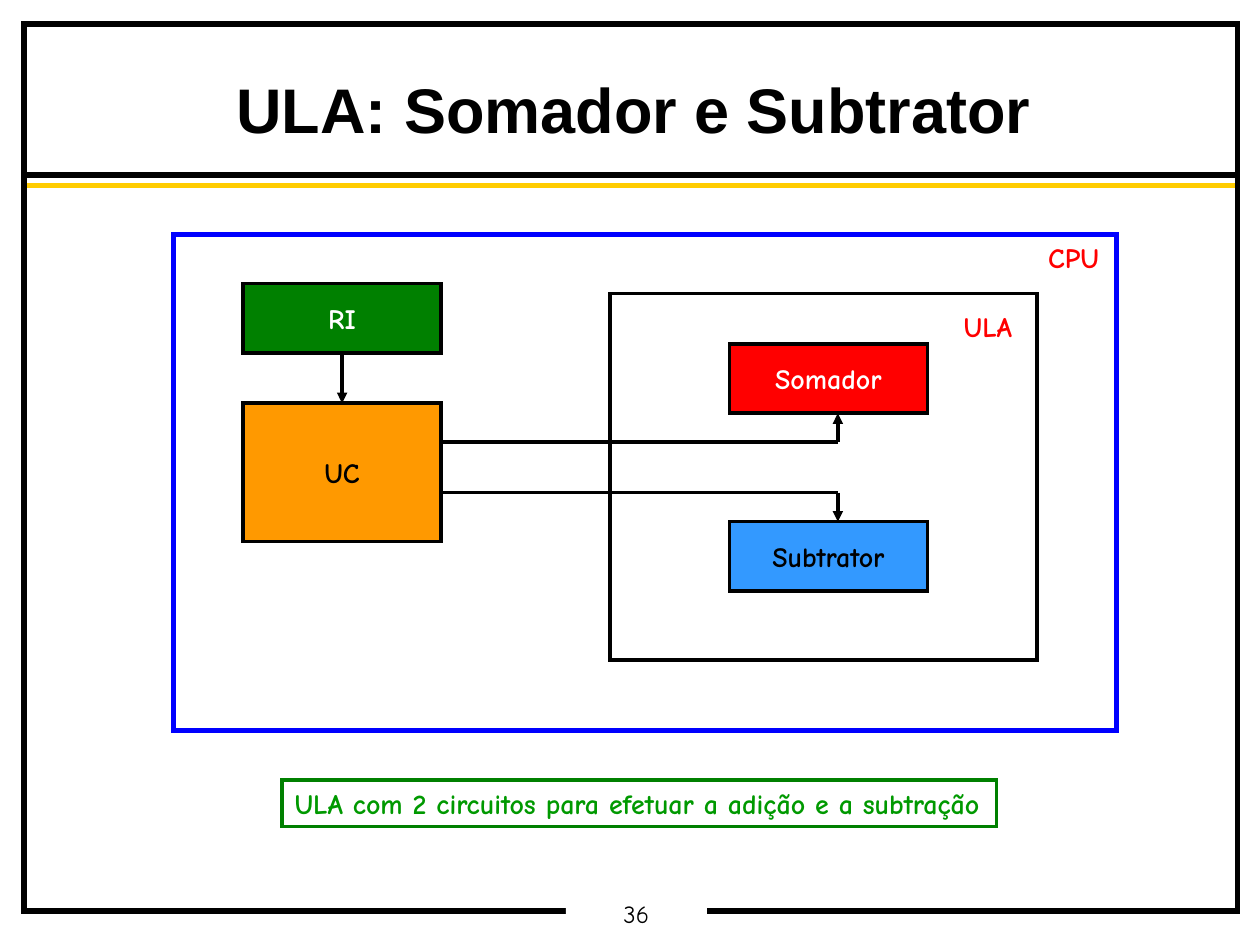
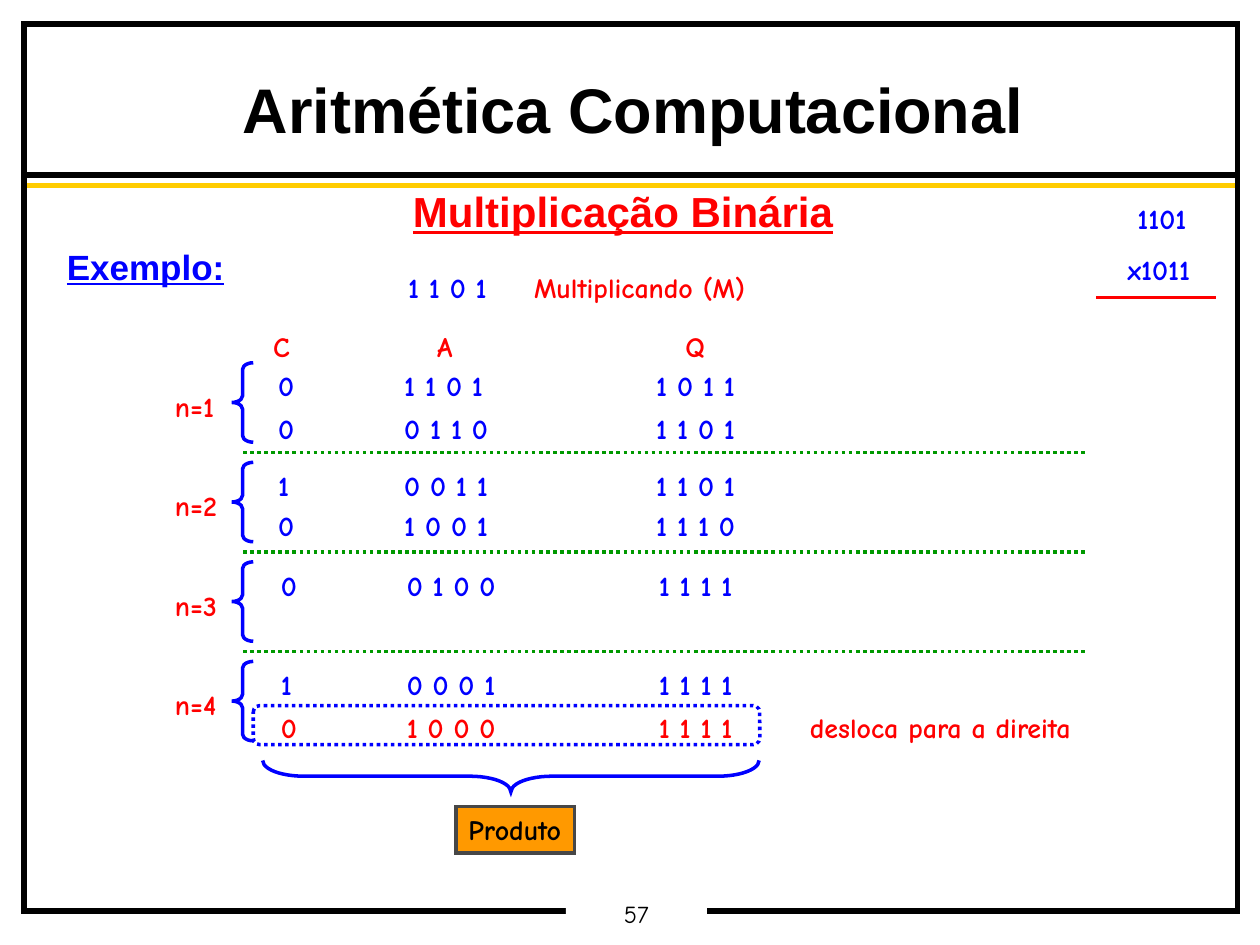
"""Build two computer architecture slides: the adder/subtractor ALU and binary multiplication."""
import pptx
import pptx.dml.color
import pptx.enum.dml
import pptx.enum.shapes
import pptx.enum.text
import pptx.oxml.ns
import pptx.util
from lxml import etree

Inches = pptx.util.Inches
Pt = pptx.util.Pt
RGBColor = pptx.dml.color.RGBColor
Shape = pptx.enum.shapes.MSO_SHAPE
Align = pptx.enum.text.PP_ALIGN
Anchor = pptx.enum.text.MSO_ANCHOR
FIXED_SIZE = pptx.enum.text.MSO_AUTO_SIZE.NONE
DOTTED = pptx.enum.dml.MSO_LINE.ROUND_DOT

BLACK = RGBColor(0, 0, 0)
WHITE = RGBColor(255, 255, 255)
YELLOW = RGBColor(0xFF, 0xCC, 0x00)
RED = RGBColor(0xFF, 0, 0)
BLUE = RGBColor(0, 0, 0xFF)
SKY = RGBColor(0x33, 0x99, 0xFF)
ORANGE = RGBColor(0xFF, 0x99, 0x00)
DARK_GREEN = RGBColor(0, 0x80, 0)
GREEN = RGBColor(0, 0x99, 0)
GRAY = RGBColor(0x47, 0x47, 0x47)

TITLE_FONT = "Arial"
LABEL_FONT = "Comic Neue"
LABEL_HEIGHT = 0.37


def set_position(shape, box):
    """Move a shape to a box of left, top, width and height in inches."""
    shape.left, shape.top, shape.width, shape.height = map(Inches, box)


def set_font(paragraph, size, color, name=LABEL_FONT, bold=True, underline=None):
    """Format the font of a whole paragraph."""
    font = paragraph.font
    font.size, font.name, font.bold, font.underline = Pt(size), name, bold, underline
    font.color.rgb = color


def set_margins(frame, left, right, end):
    """Set the left, the right, and the top and bottom margins of a text frame."""
    frame.margin_left, frame.margin_right = Inches(left), Inches(right)
    frame.margin_top = frame.margin_bottom = Inches(end)


def add_properties_child(paragraph, tag):
    """Append an element to the properties of a paragraph."""
    properties = paragraph._p.get_or_add_pPr()
    return etree.SubElement(properties, pptx.oxml.ns.qn(tag))


def add_tabs(paragraph, stops):
    """Add left tab stops at the given inches."""
    tab_list = add_properties_child(paragraph, "a:tabLst")
    for stop in stops:
        tab = etree.SubElement(tab_list, pptx.oxml.ns.qn("a:tab"))
        tab.set("pos", str(Inches(stop)))
        tab.set("algn", "l")


def add_line(slide, start, end, color=BLACK, width=2, dash=None, arrow=False):
    """Draw a straight connector between two points in inches."""
    line = slide.shapes.add_connector(
        pptx.enum.shapes.MSO_CONNECTOR.STRAIGHT, *map(Inches, (*start, *end)))
    line.line.color.rgb = color
    line.line.width = Pt(width)
    if dash:
        line.line.dash_style = dash
    if arrow:
        outline = line.line._get_or_add_ln()
        etree.SubElement(outline, pptx.oxml.ns.qn("a:tailEnd")).set("type", "triangle")
    etree.SubElement(line._element.spPr, pptx.oxml.ns.qn("a:effectLst"))
    return line


def add_figure(slide, kind, box, line=None, fill=None, width=2):
    """Add a preset shape with the given sharp-cornered outline and fill, or none."""
    shape = slide.shapes.add_shape(kind, *map(Inches, box))
    shape.shadow.inherit = False
    if fill is None:
        shape.fill.background()
    else:
        shape.fill.solid()
        shape.fill.fore_color.rgb = fill
    if line is None:
        shape.line.fill.background()
    else:
        shape.line.color.rgb = line
        shape.line.width = Pt(width)
        outline = shape.line._get_or_add_ln()
        etree.SubElement(outline, pptx.oxml.ns.qn("a:miter")).set("lim", "800000")
    return shape


def write_label(shape, lines, color, tabs=()):
    """Write left-aligned label lines from the top of a shape, with room to spare at the right."""
    frame = shape.text_frame
    frame.word_wrap = True
    frame.auto_size = FIXED_SIZE
    frame.vertical_anchor = Anchor.TOP
    set_margins(frame, 0.1, 0, 0.05)
    frame.text = "\n".join(lines)
    for index, paragraph in enumerate(frame.paragraphs):
        if tabs:
            add_tabs(paragraph, tabs)
        paragraph.alignment = Align.LEFT
        if index:
            paragraph.space_before = Pt(10)
        set_font(paragraph, 16, color)


def add_label(slide, left, top, width, text, color, tabs=()):
    """Add a one-line label."""
    box = slide.shapes.add_textbox(*map(Inches, (left, top, width, LABEL_HEIGHT)))
    write_label(box, [text], color, tabs)


def add_unit(slide, box, text, fill, color):
    """Add a filled block with a centred name."""
    unit = add_figure(slide, Shape.RECTANGLE, box, BLACK, fill)
    unit.text_frame.vertical_anchor = Anchor.MIDDLE
    paragraph = unit.text_frame.paragraphs[0]
    paragraph.text = text
    paragraph.alignment = Align.CENTER
    set_font(paragraph, 16, color)
    return unit


def add_brace(slide, box, curve, rotation=0):
    """Add a blue brace whose corners have the given curve."""
    brace = add_figure(slide, Shape.LEFT_BRACE, box, BLUE)
    brace.adjustments[0] = curve
    brace.rotation = rotation


def start_slide(presentation, layout, title, title_box, number):
    """Add a slide with the shared rules, frame, page number and title."""
    slide = presentation.slides.add_slide(presentation.slide_layouts[layout])
    for top, color in ((1.39, BLACK), (1.47, YELLOW)):
        add_line(slide, (0.2, top), (9.84, top), color, 3)
    add_figure(slide, Shape.RECTANGLE, (0.19, 0.19, 9.63, 7.04), BLACK, width=3)

    page = add_figure(slide, Shape.RECTANGLE, (4.49, 7.13, 1.12, 0.27), fill=WHITE)
    page.text_frame.vertical_anchor = Anchor.TOP
    set_margins(page.text_frame, 0.07, 0.07, 0.03)
    paragraph = page.text_frame.paragraphs[0]
    paragraph.text = str(number)
    paragraph.alignment = Align.CENTER
    paragraph.line_spacing = 0.9
    set_font(paragraph, 14, BLACK, bold=False)

    heading = slide.shapes.title
    set_position(heading, title_box)
    frame = heading.text_frame
    frame.text = title
    frame.auto_size = FIXED_SIZE
    frame.vertical_anchor = Anchor.TOP
    set_margins(frame, 0.07, 0.07, 0.03)
    paragraph = frame.paragraphs[0]
    paragraph.alignment = Align.CENTER
    paragraph.line_spacing = 0.95
    set_font(paragraph, 36, BLACK, TITLE_FONT)
    return slide


def draw_cpu(slide, left, top, width, height):
    """Draw the CPU with its register, control unit and arithmetic unit."""
    unit_width, unit_height = 1.57, 0.55
    control_left, circuit_left = left + 0.55, left + 4.41
    control_top, adder_top, subtractor_top = top + 1.34, top + 0.87, top + 2.28

    register = add_unit(slide, (control_left, top + 0.39, unit_width, unit_height),
                        "RI", DARK_GREEN, WHITE)
    control = add_unit(slide, (control_left, control_top, unit_width, 2 * unit_height),
                       "UC", ORANGE, BLACK)
    add_unit(slide, (circuit_left, adder_top, unit_width, unit_height), "Somador", RED, WHITE)
    add_unit(slide, (circuit_left, subtractor_top, unit_width, unit_height),
             "Subtrator", SKY, BLACK)

    add_figure(slide, Shape.RECTANGLE, (left + 3.46, top + 0.47, 3.39, 2.91), BLACK)
    add_label(slide, left + 6.17, top + 0.55, 0.58, "ULA", RED)
    add_figure(slide, Shape.RECTANGLE, (left, top, width, height), BLUE, width=3)
    add_label(slide, left + 6.84, top, 0.6, "CPU", RED)

    fetch = add_line(slide, (left + 1.33, top + 0.94), (left + 1.33, control_top), arrow=True)
    fetch.begin_connect(register, 2)
    fetch.end_connect(control, 0)
    turn = left + 5.27
    for level, target in ((top + 1.65, adder_top + unit_height), (top + 2.05, subtractor_top)):
        add_line(slide, (control_left + unit_width, level), (turn, level))
        add_line(slide, (turn, level), (turn, target), arrow=True)


def write_body(slide, box):
    """Write the subject and the example heading in the body placeholder."""
    body = slide.placeholders[1]
    set_position(body, box)
    frame = body.text_frame
    frame.text = "Multiplicação Binária\nExemplo:"
    frame.auto_size = FIXED_SIZE
    frame.vertical_anchor = Anchor.TOP
    formats = ((Align.CENTER, 0, 24, RED), (Align.LEFT, 7.5, 20, BLUE))
    for paragraph, (alignment, before, size, color) in zip(frame.paragraphs, formats):
        properties = paragraph._p.get_or_add_pPr()
        properties.set("marL", str(Inches(0.24)))
        properties.set("indent", str(Inches(-0.24)))
        add_properties_child(paragraph, "a:buNone")
        paragraph.alignment = alignment
        paragraph.line_spacing = 0.9
        paragraph.space_before = Pt(before)
        set_font(paragraph, size, color, TITLE_FONT, underline=True)


def draw_operation(slide, left, top):
    """Draw the two factors above a rule."""
    factors = slide.shapes.add_textbox(*map(Inches, (left + 0.15, top, 0.69, 0.77)))
    write_label(factors, [" 1101", "x1011"], BLUE)
    add_line(slide, (left, top + 0.81), (left + 0.95, top + 0.81), RED)


def draw_steps(slide, left, top):
    """Draw the register values of each step, with braces and dividers."""
    pitch, brace_height = 0.79, 0.63
    steps = (
        (0.27, 0.34, (("0", "1 1 0 1", "1 0 1 1"), ("0", "0 1 1 0", "1 1 0 1"))),
        (0.27, 0.32, (("1", "0 0 1 1", "1 1 0 1"), ("0", "1 0 0 1", "1 1 1 0"))),
        (0.29, 0.34, (("0", "0 1 0 0", "1 1 1 1"),)),
        (0.29, 0.34, (("1", "0 0 0 1", "1 1 1 1"), ("0", "1 0 0 0", "1 1 1 1"))),
    )
    for offset, width, register in ((0.23, 0.33, "C"), (1.53, 0.32, "A"), (3.5, 0.35, "Q")):
        add_label(slide, left + offset, top - 0.31, width, register, RED)
    for index, (indent, row_gap, rows) in enumerate(steps):
        step_top = top + index * pitch
        last_step = index == len(steps) - 1
        add_label(slide, left - 0.55, step_top + 0.16, 0.53, f"n={index + 1}", RED)
        add_brace(slide, (left, step_top, 0.17, brace_height), 0.31)
        for row, (carry, accumulator, multiplier) in enumerate(rows):
            color = RED if last_step and row else BLUE
            add_label(slide, left + indent, step_top + row * row_gap, 3.82,
                      f"{carry}\t{accumulator}\t\t{multiplier}", color, (1, 2, 3))
        if not last_step:
            divider = step_top + 0.71
            add_line(slide, (left + 0.09, divider), (left + 6.78, divider), GREEN, dash=DOTTED)


def draw_product(slide, left, top, width):
    """Mark the final row and name it as the product."""
    outline = add_figure(slide, Shape.ROUNDED_RECTANGLE, (left, top, width, 0.31), BLUE)
    outline.line.dash_style = DOTTED
    add_label(slide, left + 4.32, top - 0.01, 2.29, "desloca para a direita", RED)
    add_brace(slide, (left + 1.92, top - 1.41, 0.25, 3.94), 1.3, 270)
    name = add_figure(slide, Shape.RECTANGLE, (left + 1.61, top + 0.8, 0.94, LABEL_HEIGHT),
                      GRAY, ORANGE)
    write_label(name, ["Produto"], BLACK)


def build_adder_slide(presentation):
    """Build the slide on the adder and subtractor."""
    slide = start_slide(presentation, 5, "ULA: Somador e Subtrator", (1.65, 0.57, 6.76, 0.63), 36)
    draw_cpu(slide, 1.38, 1.86, 7.48, 3.94)
    caption = add_figure(slide, Shape.RECTANGLE, (2.24, 6.19, 5.67, LABEL_HEIGHT), DARK_GREEN)
    write_label(caption, ["ULA com 2 circuitos para efetuar a adição e a subtração"], GREEN)


def build_multiplication_slide(presentation):
    """Build the slide on binary multiplication."""
    slide = start_slide(presentation, 1, "Aritmética Computacional", (0.2, 0.57, 9.65, 0.63), 57)
    write_body(slide, (0.43, 1.47, 9.03, 5.13))
    add_label(slide, 3.14, 2.1, 0.82, "1 1 0 1", BLUE)
    add_label(slide, 4.14, 2.1, 1.87, "Multiplicando (M)", RED)
    draw_operation(slide, 8.7, 1.55)
    draw_steps(slide, 1.84, 2.88)
    draw_product(slide, 2.01, 5.6, 4.02)


def main():
    """Build and save the presentation."""
    presentation = pptx.Presentation()
    presentation.slide_width, presentation.slide_height = Inches(10), Inches(7.5)
    build_adder_slide(presentation)
    build_multiplication_slide(presentation)
    presentation.save("out.pptx")


if __name__ == "__main__":
    main()
